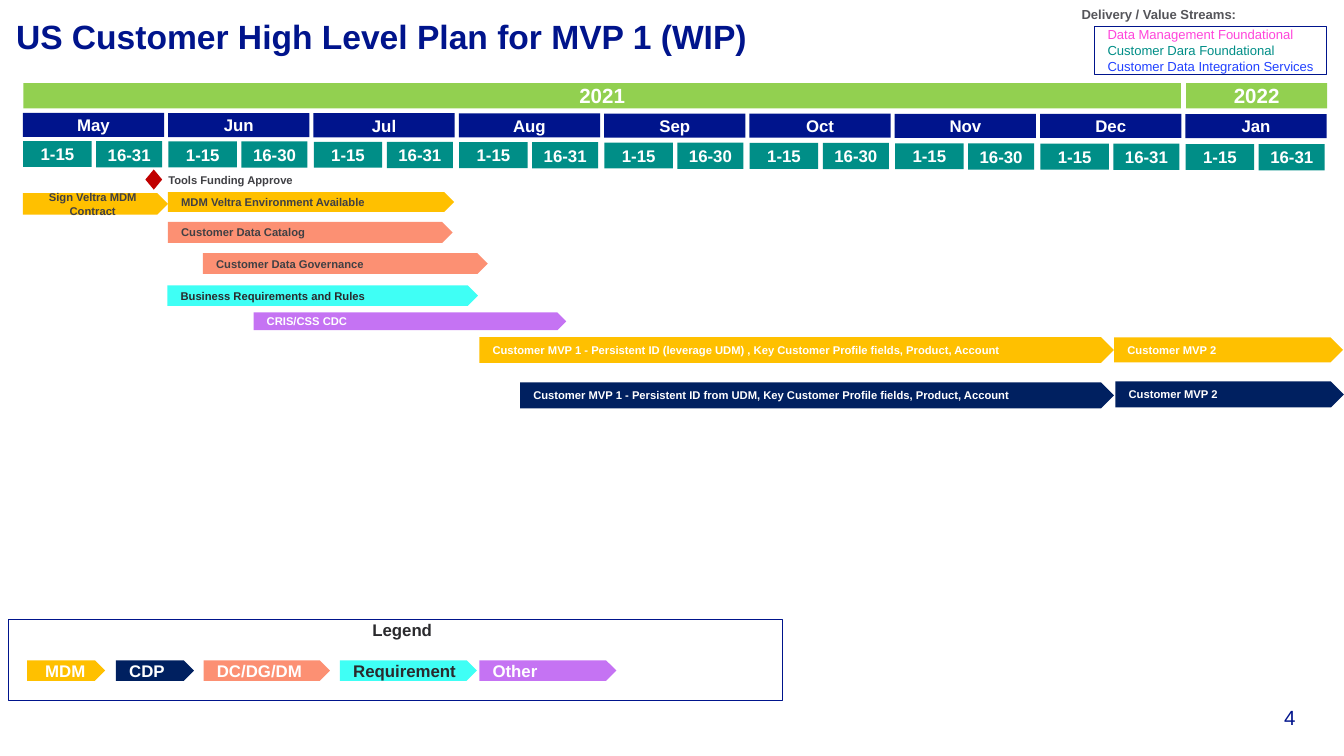
"""Build a one-slide customer roadmap with a month grid, task arrows and a legend."""
from pptx import Presentation
from pptx.dml.color import RGBColor
from pptx.enum import shapes, text
from pptx.util import Pt

COLORS = {
    "navy": "00148C", "teal": "008E87", "green": "92D050", "gold": "FFC000",
    "midnight": "002060", "coral": "FC9073", "cyan": "3FFFF5", "purple": "C573F3",
    "red": "C00000", "pink": "FF45DB", "blue": "2141FF", "white": "FFFFFF",
    "dark": "404044", "ink": "2A2A2D", "gray": "55555A",
}
SHAPE, ALIGN, ANCHOR = shapes.MSO_SHAPE, text.PP_ALIGN, text.MSO_ANCHOR
NO_INSET = (0, 0, 0, 0)
CELL_INSET = (2.9, 3.6, 2.9, 3.6)
PANEL_INSET = (7.2, 0, 0, 0)

MONTHS = [("May", 31), ("Jun", 30), ("Jul", 31), ("Aug", 31), ("Sep", 30),
          ("Oct", 30), ("Nov", 30), ("Dec", 31), ("Jan", 31)]
MONTH_PITCH = 77.85

TASKS = [
    ("MDM Veltra Environment Available", 90, 102.9, 153.3, 10.6, "gold", "dark"),
    ("Customer Data Catalog", 90, 118.9, 152.5, 11.2, "coral", "dark"),
    ("Customer Data Governance", 108.7, 135.7, 152.6, 11.1, "coral", "dark"),
    ("Business Requirements and Rules", 89.7, 152.9, 166.4, 11, "cyan", "ink"),
    ("CRIS/CSS CDC", 135.8, 167.4, 167.5, 9.5, "purple", "white"),
    ("Customer MVP 1 - Persistent ID (leverage UDM) , Key Customer Profile fields, "
     "Product, Account", 256.8, 180.6, 340, 13.8, "gold", "white"),
    ("Customer MVP 2", 596.9, 180.7, 122.6, 13.4, "gold", "white"),
    ("Customer MVP 1 - Persistent ID from UDM, Key Customer Profile fields, "
     "Product, Account", 278.6, 204.9, 318.2, 13.9, "midnight", "white"),
    ("Customer MVP 2", 597.6, 204.4, 122.4, 13.9, "midnight", "white"),
]

LEGEND = [
    ("MDM", 14.5, 41.8, "gold", "white", 9.7),
    ("CDP", 62.1, 41.8, "midnight", "white", 7.2),
    ("DC/DG/DM", 109.1, 67.7, "coral", "white", 7.2),
    ("Requirement", 182.1, 73.4, "cyan", "ink", 7.2),
    ("Other", 256.8, 73.4, "purple", "white", 7.2),
]


def rgb(name):
    """Return the named colour."""
    return RGBColor.from_string(COLORS[name])


def write(s, lines, size, bold=True, align=ALIGN.LEFT, anchor=ANCHOR.TOP,
          inset=NO_INSET, wrap=True):
    """Fill a shape with (text, colour) lines in one style."""
    tf = s.text_frame
    tf.word_wrap = wrap
    tf.auto_size = text.MSO_AUTO_SIZE.NONE
    tf.vertical_anchor = anchor
    tf.margin_left, tf.margin_top, tf.margin_right, tf.margin_bottom = map(Pt, inset)
    tf.text = "\n".join(line for line, _ in lines)
    for p, (_, color) in zip(tf.paragraphs, lines):
        p.alignment = align
        for r in p.runs:
            r.font.name = "Arial"
            r.font.size = Pt(size)
            r.font.bold = bold
            r.font.color.rgb = rgb(color)


def add_shape(slide, kind, box, fill=None, line=None):
    """Add a flat preset shape with an optional fill and thin outline."""
    s = slide.shapes.add_shape(kind, *map(Pt, box))
    s.shadow.inherit = False
    if fill:
        s.fill.solid()
        s.fill.fore_color.rgb = rgb(fill)
    else:
        s.fill.background()
    if line:
        s.line.color.rgb = rgb(line)
        s.line.width = Pt(0.5)
    else:
        s.line.fill.background()
    return s


def add_cell(slide, label, box, fill):
    """Add one month or half-month cell."""
    s = add_shape(slide, SHAPE.RECTANGLE, box, fill)
    write(s, [(label, "white")], 9, align=ALIGN.CENTER, anchor=ANCHOR.MIDDLE,
          inset=CELL_INSET)


def add_arrow(slide, label, box, fill, color, size=6, align=ALIGN.LEFT,
              inset=(7.2, 3.6, 7.2, 3.6)):
    """Add one labelled pentagon arrow."""
    s = add_shape(slide, SHAPE.PENTAGON, box, fill)
    write(s, [(label, color)], size, align=align, anchor=ANCHOR.MIDDLE, inset=inset)


def add_label(slide, label, box, size, color, **style):
    """Add a free text label."""
    s = slide.shapes.add_textbox(*map(Pt, box))
    write(s, [(label, color)], size, **style)


def add_title(slide, label):
    """Place and format the title."""
    s = slide.shapes.title
    s.left, s.top, s.width, s.height = map(Pt, (8.6, 8.6, 710.6, 29.5))
    write(s, [(label, "navy")], 18)


def add_calendar(slide):
    """Add the year bars, months and half-months."""
    for year, left, width in (("2021", 12.5, 620.2), ("2022", 635.4, 75.6)):
        s = add_shape(slide, SHAPE.RECTANGLE, (left, 44.5, width, 13.6), "green")
        write(s, [(year, "white")], 11, align=ALIGN.CENTER)
    for i, (month, days) in enumerate(MONTHS):
        left = 12.2 + i * MONTH_PITCH
        top = 75.6 + i * 0.2
        add_cell(slide, month, (left, 60.5 + i * 0.08, 75.7, 12.9), "navy")
        add_cell(slide, "1-15", (left + 0.2, top, 36.7, 13.9), "teal")
        add_cell(slide, f"16-{days}", (left + 39.3, top, 35.4, 14.1), "teal")


def add_tasks(slide):
    """Add the milestone and the task arrows."""
    add_shape(slide, SHAPE.DIAMOND, (77.9, 90.8, 9, 10.8), "red")
    add_label(slide, "Tools Funding Approve", (82.8, 92.9, 81.4, 7.2), 6, "dark",
              bold=True, align=ALIGN.CENTER, anchor=ANCHOR.MIDDLE)
    add_arrow(slide, "Sign Veltra MDM Contract", (12.2, 103.5, 77.8, 11.5),
              "gold", "dark", align=ALIGN.CENTER)
    for label, left, top, width, height, fill, color in TASKS:
        add_arrow(slide, label, (left, top, width, height), fill, color)


def add_streams(slide):
    """Add the value stream key."""
    add_label(slide, "Delivery / Value Streams:", (579.4, 3.2, 85, 8.6), 7, "gray",
              wrap=False)
    s = add_shape(slide, SHAPE.RECTANGLE, (586.3, 14.3, 124.6, 25.5), line="navy")
    write(s, [("Data Management Foundational", "pink"),
              ("Customer Dara Foundational", "teal"),
              ("Customer Data Integration Services", "blue")],
          7, bold=False, inset=PANEL_INSET)


def add_legend(slide):
    """Add the framed legend of arrow colours."""
    s = add_shape(slide, SHAPE.RECTANGLE, (4.5, 331.8, 414.8, 43.6), line="navy")
    write(s, [("Legend", "ink")], 9, align=ALIGN.CENTER, inset=PANEL_INSET)
    for label, left, width, fill, color, indent in LEGEND:
        add_arrow(slide, label, (left, 353.8, width, 10.9), fill, color, size=9,
                  inset=(indent, 3.6, 0, 3.6))


def main():
    """Build and save the roadmap."""
    prs = Presentation()
    prs.slide_width, prs.slide_height = Pt(720), Pt(405)
    slide = prs.slides.add_slide(prs.slide_layouts[5])
    add_title(slide, "US Customer High Level Plan for MVP 1 (WIP)")
    add_calendar(slide)
    add_tasks(slide)
    add_streams(slide)
    add_legend(slide)
    add_label(slide, "4", (652.3, 377.3, 41.8, 13.7), 11, "navy", bold=False,
              align=ALIGN.RIGHT, anchor=ANCHOR.BOTTOM)
    prs.save("out.pptx")


if __name__ == "__main__":
    main()
